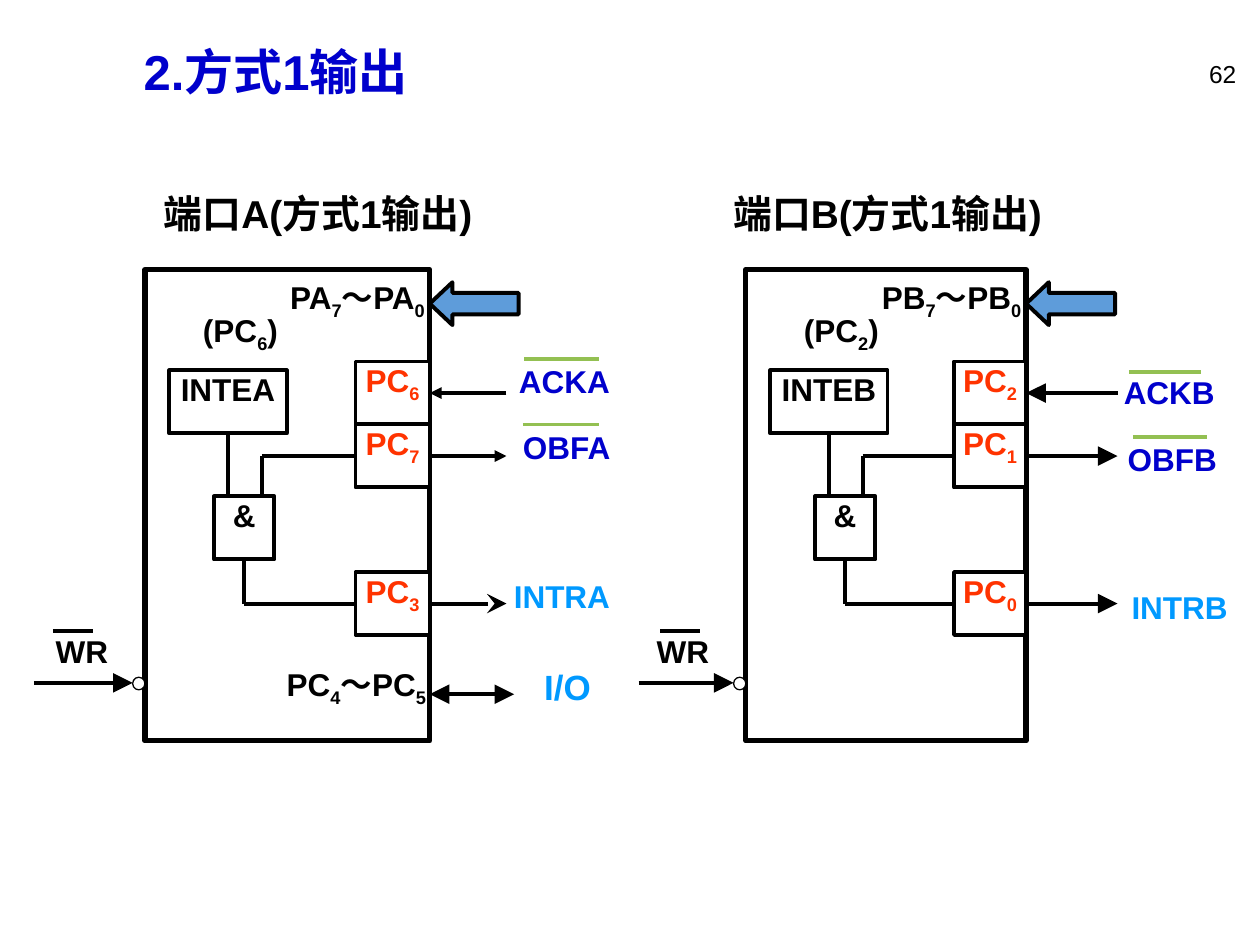
from dataclasses import dataclass

from lxml import etree
from pptx import Presentation
from pptx.dml.color import RGBColor
from pptx.enum import shapes, text
from pptx.oxml import ns
from pptx.util import Pt

COLORS = {"black": "000000", "white": "FFFFFF", "blue": "0000CC", "sky": "0099FF",
          "red": "FF3300", "green": "93C052", "arrow": "5E9CDA"}
ALIGN = text.PP_ALIGN
RECT = shapes.MSO_SHAPE.RECTANGLE
TOP, LEFT, BOTTOM, RIGHT = range(4)


@dataclass
class Signal:
    name: str
    pin: str
    color: str
    pin_top: float
    label: tuple
    ends: dict
    bar: tuple = ()


@dataclass
class Port:
    name: str
    left: float
    width: float
    pin_width: float
    heading_left: float
    heading_width: float
    arrow_end: float
    enable_bit: str
    wr_left: float
    wr_bar: float
    signals: list

    @property
    def right(self):
        return self.left + self.width


PORTS = [
    Port("A", 82.8, 162.8, 42.4, 93.6, 216, 289.4, "6", 19.4, 30.2, [
        Signal("ACKA", "6", "blue", 206.6, (296.6, 206.6, 53.3), {"tail": ("triangle", "med")},
               (299.5, 205.2, 42.6)),
        Signal("OBFA", "7", "blue", 242.6, (298.8, 244.8, 55.4), {"head": ("triangle", "med")},
               (298.8, 242.6, 43.2)),
        Signal("INTRA", "3", "sky", 326.9, (293.6, 329.8, 63.4), {"head": ("stealth", "lg")}),
    ]),
    Port("B", 426.2, 160.2, 41.2, 419, 212.4, 638.6, "2", 365, 377.3, [
        Signal("ACKB", "2", "blue", 206.6, (642.2, 213.1, 52.6), {"tail": ("triangle", "lg")},
               (645.1, 212.4, 41)),
        Signal("OBFB", "1", "blue", 242.6, (644.4, 251.3, 54.7), {"head": ("triangle", "lg")},
               (647.3, 249.8, 42.5)),
        Signal("INTRB", "0", "sky", 326.9, (646.6, 336.2, 61.9), {"head": ("triangle", "lg")}),
    ]),
]


def rgb(name):
    return RGBColor.from_string(COLORS[name])


def write(frame, content, size=18, color="black", bold=True, align=ALIGN.JUSTIFY,
          inset=(0, 0), spacing=None):
    frame.word_wrap = True
    frame.auto_size = text.MSO_AUTO_SIZE.NONE
    frame.vertical_anchor = text.MSO_ANCHOR.TOP
    frame.margin_left = frame.margin_right = Pt(inset[0])
    frame.margin_top = frame.margin_bottom = Pt(inset[1])
    para = frame.paragraphs[0]
    para.alignment = align
    para.line_spacing = spacing
    for index, piece in enumerate(content.split("_")):
        if not piece:
            continue
        span = para.add_run()
        span.text = piece
        font = span.font
        font.name, font.size, font.bold = "Arial", Pt(size), bold
        font.color.rgb = rgb(color)
        if index % 2:
            span._r.get_or_add_rPr().set("baseline", "-25000")


def add_box(group, place, content="", kind=RECT, fill="white", line=0, **style):
    box = group.add_shape(kind, *map(Pt, place))
    box.shadow.inherit = False
    if fill:
        box.fill.solid()
        box.fill.fore_color.rgb = rgb(fill)
    else:
        box.fill.background()
    if line:
        box.line.width = Pt(line)
        box.line.color.rgb = rgb("black")
    else:
        box.line.fill.background()
    if content:
        write(box.text_frame, content, **style)
    return box


def add_line(group, start, end, color="black", head=None, tail=None, begin=None, finish=None):
    line = group.add_connector(shapes.MSO_CONNECTOR.STRAIGHT, *map(Pt, (*start, *end)))
    line.line.width = Pt(2.25)
    line.line.color.rgb = rgb(color)
    for tag, tip in (("a:headEnd", head), ("a:tailEnd", tail)):
        if tip:
            kind, size = tip
            etree.SubElement(line.line._get_or_add_ln(), ns.qn(tag), type=kind, w=size, len=size)
    etree.SubElement(line._element.spPr, ns.qn("a:effectLst"))
    if begin:
        line.begin_connect(*begin)
    if finish:
        line.end_connect(*finish)
    return line


def add_signal(group, port, signal):
    left = port.right - port.pin_width
    pin = add_box(group, (left, signal.pin_top, port.pin_width, 36), f"PC_{signal.pin}",
                  line=2.25, color="red", align=ALIGN.CENTER)
    middle = signal.pin_top + 18
    add_line(group, (port.arrow_end, middle), (port.right, middle),
             finish=(pin, RIGHT), **signal.ends)
    x, y, width = signal.label
    add_box(group, (x, y, width, 34), signal.name, color=signal.color)
    if signal.bar:
        x, y, width = signal.bar
        add_line(group, (x, y), (x + width, y), color="green")
    return pin


def add_enable_logic(group, port, request_pin, interrupt_pin):
    left = port.left
    add_box(group, (left + 9.4, 177.8, 66.6, 31.7), f"(PC_{port.enable_bit}_)", align=ALIGN.RIGHT)
    enable = add_box(group, (left + 14, 211.7, 67, 36), f"INTE{port.name}",
                     line=2.25, align=ALIGN.CENTER)
    gate = add_box(group, (left + 39.4, 283.7, 34.6, 36), "&", line=2.25, align=ALIGN.CENTER)
    enable_x, feed_x, gate_x = left + 47.5, left + 66.8, left + 56.7
    pin_left = port.right - port.pin_width
    feed_y, out_y = 260.6, 344.9
    add_line(group, (enable_x, 283.7), (enable_x, 247.7), finish=(enable, BOTTOM))
    add_line(group, (feed_x, 283.7), (feed_x, feed_y))
    add_line(group, (feed_x, feed_y), (pin_left, feed_y), finish=(request_pin, LEFT))
    add_line(group, (pin_left, out_y), (gate_x, out_y), begin=(interrupt_pin, LEFT))
    add_line(group, (gate_x, out_y), (gate_x, 319.7), finish=(gate, BOTTOM))


def add_write_strobe(group, port):
    add_box(group, (port.left - 7, 387, 7, 7.2), kind=shapes.MSO_SHAPE.OVAL, line=0.75)
    add_line(group, (port.wr_left, 390.2), (port.left - 7, 390.2), tail=("triangle", "lg"))
    add_box(group, (port.left - 51, 361.4, 32.4, 33.1), "WR", fill=None)
    add_line(group, (port.wr_bar, 360.7), (port.wr_bar + 22.7, 360.7))


def add_port(page, port):
    group = page.shapes.add_group_shape().shapes
    name = port.name
    add_box(group, (port.heading_left, 111.6, port.heading_width, 33.8),
            f"端口{name}(方式1输出)", size=22.2, spacing=0.9)
    add_box(group, (port.left, 154.1, port.width, 269.3), line=3)
    add_box(group, (port.right - 93.2, 158.9, 90.4, 36), f"P{name}_7_～P{name}_0",
            align=ALIGN.RIGHT)
    bus = add_box(group, (port.right, 161.3, 50.8, 24.5), kind=shapes.MSO_SHAPE.LEFT_ARROW,
                  fill="arrow", line=2.25)
    bus.adjustments[0], bus.adjustments[1] = 0.5, 0.53
    pins = [add_signal(group, port, signal) for signal in port.signals]
    add_enable_logic(group, port, pins[1], pins[2])
    add_write_strobe(group, port)
    if name == "A":
        add_box(group, (port.right - 100, 380.2, 97.9, 33.8), "PC_4_～PC_5", align=ALIGN.RIGHT)
        tip = ("triangle", "lg")
        add_line(group, (port.right, 396.7), (293.8, 396.7), head=tip, tail=tip)
        add_box(group, (311, 380.2, 49, 36), "I/O", size=20, color="sky")


def main():
    deck = Presentation()
    deck.slide_width, deck.slide_height = Pt(720), Pt(540)
    page = deck.slides.add_slide(deck.slide_layouts[5])
    title = page.shapes.title
    title.left, title.top, title.width, title.height = map(Pt, (74.9, 20.2, 209.5, 41))
    write(title.text_frame, "2.方式1输出", size=28, color="blue", align=ALIGN.LEFT,
          inset=(7.2, 3.6))
    number = page.shapes.add_textbox(*map(Pt, (563.8, 30.2, 149.8, 36)))
    write(number.text_frame, "62", size=14, bold=False, align=ALIGN.RIGHT, inset=(7.2, 3.6))
    for port in PORTS:
        add_port(page, port)
    deck.save("out.pptx")


if __name__ == "__main__":
    main()
